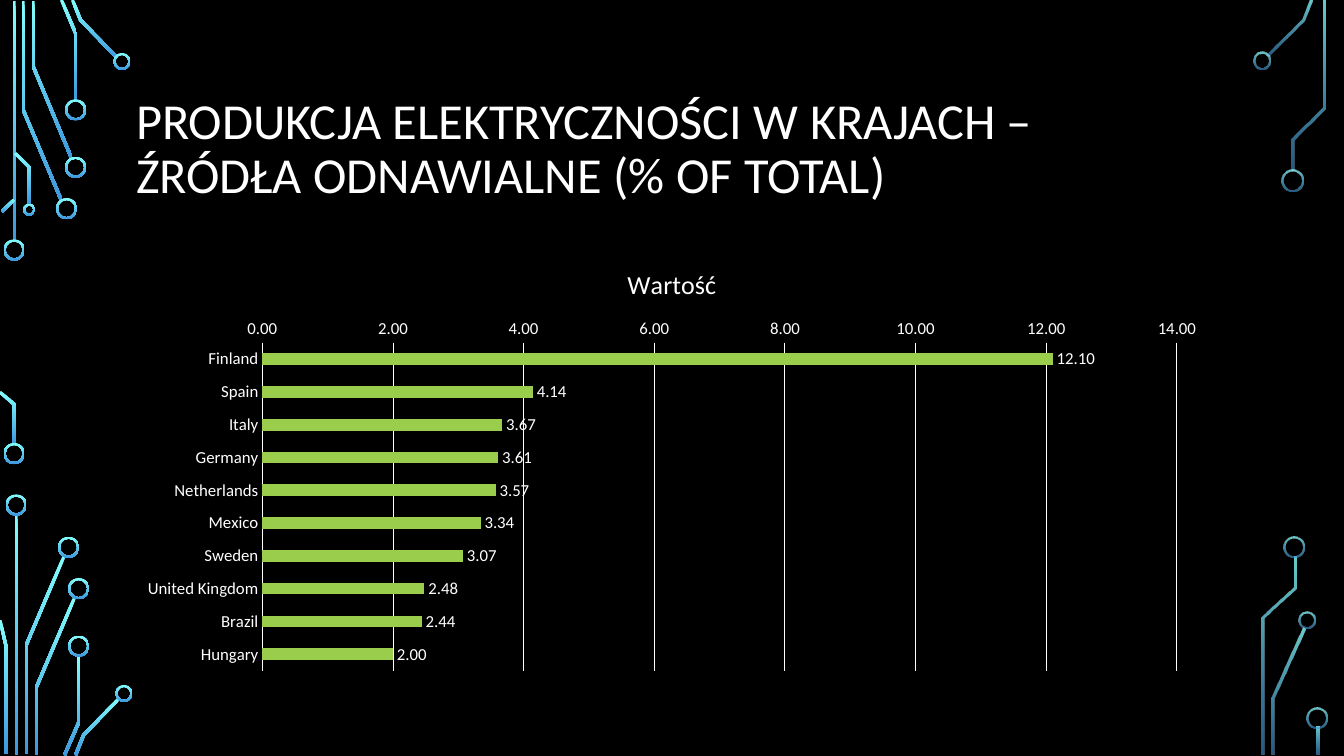
import math
from dataclasses import dataclass

from lxml import etree
from pptx import Presentation
from pptx.chart.data import CategoryChartData
from pptx.dml.color import RGBColor
from pptx.enum import chart as charts, shapes, text
from pptx.oxml import ns
from pptx.util import Inches, Pt


@dataclass(frozen=True)
class Theme:
    font: str = "Calibri"
    background: RGBColor = RGBColor(0, 0, 0)
    ink: RGBColor = RGBColor(255, 255, 255)
    bar: RGBColor = RGBColor(0x9A, 0xCD, 0x4C)
    glow: tuple = (RGBColor(0x82, 0xFF, 0xFF), RGBColor(0x3D, 0x97, 0xDE))
    title_size: float = 36
    chart_title_size: float = 18.6
    label_size: float = 12
    hairline: float = 0.75


THEME = Theme()
SLIDE_WIDTH, SLIDE_HEIGHT = 13.33, 7.5
TRACE_WIDTH, RING_WIDTH = 0.03, 0.02

# Traces are centre lines; rings are (centre x, centre y, diameter).
LEFT_TRACES = [
    [(0.14, 0.01), (0.14, 2.4)],
    [(0.23, 0.01), (0.23, 1.09), (0.61, 1.99)],
    [(0.33, 0.01), (0.33, 0.66), (0.71, 1.57)],
    [(0.61, 0), (0.75, 0.33), (0.75, 1)],
    [(0.72, 0), (0.8, 0.2), (1.16, 0.57)],
    [(0.02, 2.1), (0.14, 1.98)],
    [(0, 3.89), (0.14, 4.01), (0.14, 4.41)],
    [(0.15, 1.52), (0.29, 1.66), (0.29, 2.03)],
    [(0.16, 5.1), (0.16, 7.49)],
    [(0.26, 7.48), (0.26, 6.4), (0.64, 5.51)],
    [(0, 6.15), (0.06, 6.41), (0.06, 7.48)],
    [(0.36, 7.49), (0.36, 6.82), (0.74, 5.93)],
    [(0.64, 7.49), (0.78, 7.17), (0.78, 6.5)],
    [(0.75, 7.49), (0.83, 7.29), (1.18, 6.93)],
]
LEFT_RINGS = [
    (0.14, 2.48, 0.21), (0.14, 4.5, 0.21), (0.66, 2.07, 0.21),
    (0.75, 1.66, 0.21), (0.75, 1.09, 0.21), (1.21, 0.61, 0.17),
    (0.29, 2.08, 0.12), (0.16, 5.01, 0.21), (0.68, 5.43, 0.21),
    (0.78, 5.84, 0.21), (0.78, 6.41, 0.21), (1.23, 6.88, 0.17),
]
RIGHT_TRACES = [
    [(12.57, 0.55), (12.92, 0.2), (13, 0)],
    [(12.63, 7.49), (12.63, 6.93), (12.93, 6.23)],
    [(12.82, 1.69), (12.82, 1.38), (13.13, 1.07), (13.13, 0.01)],
    [(12.53, 7.49), (12.53, 6.13), (12.84, 5.83), (12.84, 5.52)],
    [(13.07, 7.49), (13.07, 7.21)],
]
RIGHT_RINGS = [
    (12.52, 0.6, 0.17), (12.82, 1.79, 0.21), (12.96, 6.15, 0.17),
    (12.83, 5.43, 0.21), (13.06, 7.12, 0.21),
]
RENEWABLE_SHARES = {
    "Finland": 12.1, "Spain": 4.14, "Italy": 3.67, "Germany": 3.61,
    "Netherlands": 3.57, "Mexico": 3.34, "Sweden": 3.07,
    "United Kingdom": 2.48, "Brazil": 2.44, "Hungary": 2,
}


def style_font(font, size):
    font.name, font.size, font.bold = THEME.font, Pt(size), False
    font.color.rgb = THEME.ink


def style_line(line):
    line.color.rgb, line.width = THEME.ink, Pt(THEME.hairline)


def apply_glow(shape, opacities):
    """Fill with the vertical theme gradient; opacities are percentages."""
    shape.shadow.inherit = False
    shape.line.fill.background()
    shape.fill.gradient()
    shape.fill.gradient_angle = 270
    for stop, color in zip(shape.fill.gradient_stops, THEME.glow):
        stop.color.rgb = color
    color_nodes = shape._element.spPr.iter(ns.qn("a:srgbClr"))
    for node, opacity in zip(color_nodes, opacities):
        if opacity < 100:
            etree.SubElement(node, ns.qn("a:alpha"), val=str(opacity * 1000))


def offset_side(points, distance):
    """Shift a polyline sideways, with mitred corners."""
    normals = []
    for (x1, y1), (x2, y2) in zip(points, points[1:]):
        length = math.hypot(x2 - x1, y2 - y1)
        normals.append(((y1 - y2) / length, (x2 - x1) / length))
    before, after = normals[:1] + normals, normals + normals[-1:]
    side = []
    for (x, y), (ax, ay), (bx, by) in zip(points, before, after):
        reach = distance / (1 + ax * bx + ay * by)
        side.append((Inches(x + (ax + bx) * reach), Inches(y + (ay + by) * reach)))
    return side


def add_trace(page, points, opacities):
    half = TRACE_WIDTH / 2
    outline = offset_side(points, half) + offset_side(points, -half)[::-1]
    builder = page.shapes.build_freeform(*outline[0], scale=1.0)
    builder.add_line_segments(outline[1:], close=True)
    apply_glow(builder.convert_to_shape(), opacities)


def add_ring(page, center_x, center_y, diameter, opacities):
    ring = page.shapes.add_shape(
        shapes.MSO_SHAPE.DONUT, Inches(center_x - diameter / 2),
        Inches(center_y - diameter / 2), Inches(diameter), Inches(diameter))
    ring.adjustments[0] = RING_WIDTH / diameter
    apply_glow(ring, opacities)


def add_circuit(page, traces, rings, opacities):
    for points in traces:
        add_trace(page, points, opacities)
    for ring in rings:
        add_ring(page, *ring, opacities)


def place_title(page, box, wording):
    title = page.shapes.title
    title.left, title.top, title.width, title.height = map(Inches, box)
    frame = title.text_frame
    frame.text = wording
    frame.word_wrap = True
    frame.auto_size = text.MSO_AUTO_SIZE.NONE
    frame.vertical_anchor = text.MSO_ANCHOR.MIDDLE
    para = frame.paragraphs[0]
    para.alignment, para.line_spacing = text.PP_ALIGN.LEFT, 0.9
    style_font(para.runs[0].font, THEME.title_size)


def style_axes(chart):
    countries, values = chart.category_axis, chart.value_axis
    for axis in (countries, values):
        axis.major_tick_mark = axis.minor_tick_mark = charts.XL_TICK_MARK.NONE
        style_font(axis.tick_labels.font, THEME.label_size)
    countries.reverse_order = True
    countries.has_major_gridlines = False
    style_line(countries.format.line)
    values.minimum_scale, values.maximum_scale, values.major_unit = 0, 14, 2
    values.has_major_gridlines = True
    style_line(values.major_gridlines.format.line)
    values.format.line.fill.background()
    values.tick_labels.number_format = "0.00"
    values.tick_labels.number_format_is_linked = False


def style_bars(plot):
    plot.gap_width = 182
    plot.vary_by_categories = False
    bars = plot.series[0]
    bars.format.fill.solid()
    bars.format.fill.fore_color.rgb = THEME.bar
    labels = bars.data_labels
    labels.show_value = True
    labels.position = charts.XL_LABEL_POSITION.OUTSIDE_END
    labels.number_format, labels.number_format_is_linked = "0.00", False
    style_font(labels.font, THEME.label_size)


def add_share_chart(page, box, name, shares):
    data = CategoryChartData(number_format="0.00")
    data.categories = list(shares)
    data.add_series(name, list(shares.values()))
    chart = page.shapes.add_chart(
        charts.XL_CHART_TYPE.BAR_CLUSTERED, *map(Inches, box), data).chart
    style_font(chart.font, THEME.label_size)
    chart.has_legend = False
    chart.has_title = True
    chart.chart_title.include_in_layout = False
    para = chart.chart_title.text_frame.paragraphs[0]
    para.text = name
    style_font(para.runs[0].font, THEME.chart_title_size)
    style_axes(chart)
    style_bars(chart.plots[0])


def main():
    deck = Presentation()
    deck.slide_width, deck.slide_height = Inches(SLIDE_WIDTH), Inches(SLIDE_HEIGHT)
    page = deck.slides.add_slide(deck.slide_layouts.get_by_name("Title Only"))
    page.background.fill.solid()
    page.background.fill.fore_color.rgb = THEME.background
    add_circuit(page, LEFT_TRACES, LEFT_RINGS, (100, 100))
    add_circuit(page, RIGHT_TRACES, RIGHT_RINGS, (80, 60))
    place_title(page, (1.25, 0.68, 10.83, 1.62),
                "PRODUKCJA ELEKTRYCZNOŚCI W KRAJACH – ŹRÓDŁA ODNAWIALNE (% OF TOTAL)")
    add_share_chart(page, (1.25, 2.46, 10.83, 4.28), "Wartość", RENEWABLE_SHARES)
    deck.save("out.pptx")


if __name__ == "__main__":
    main()
